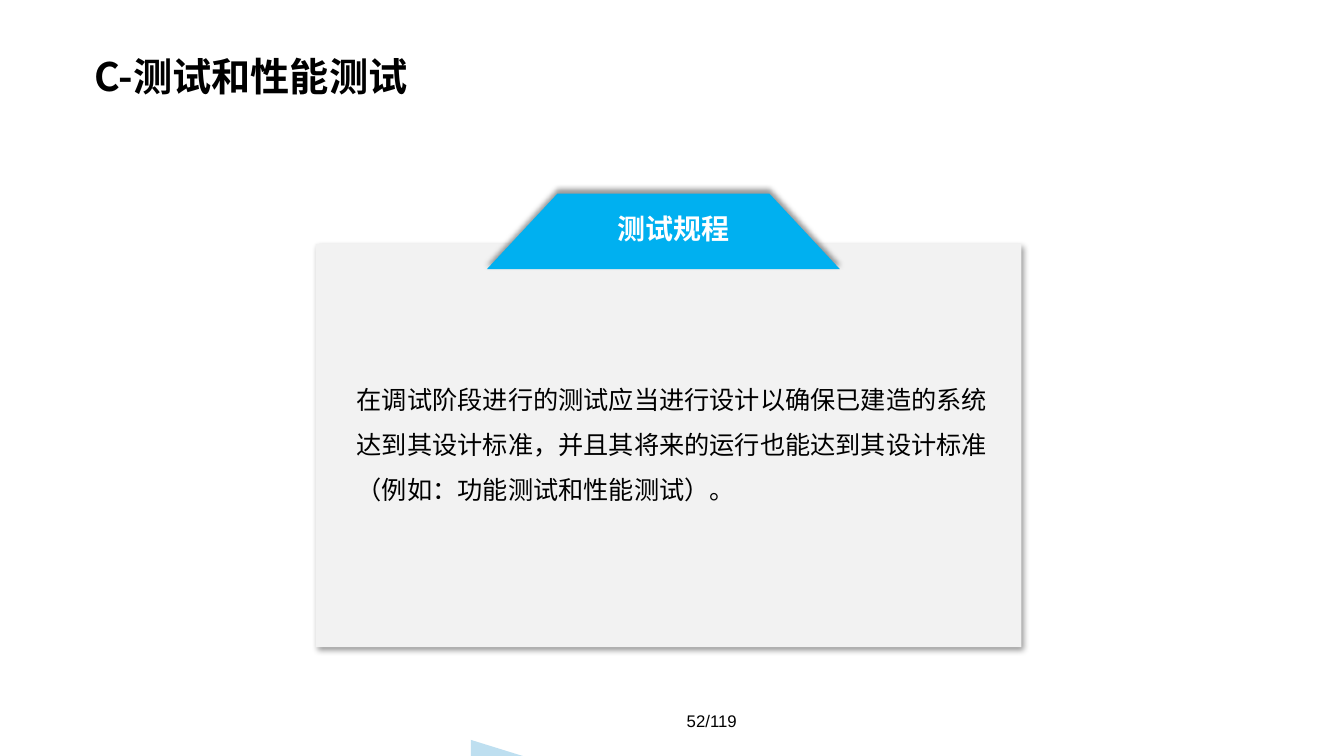
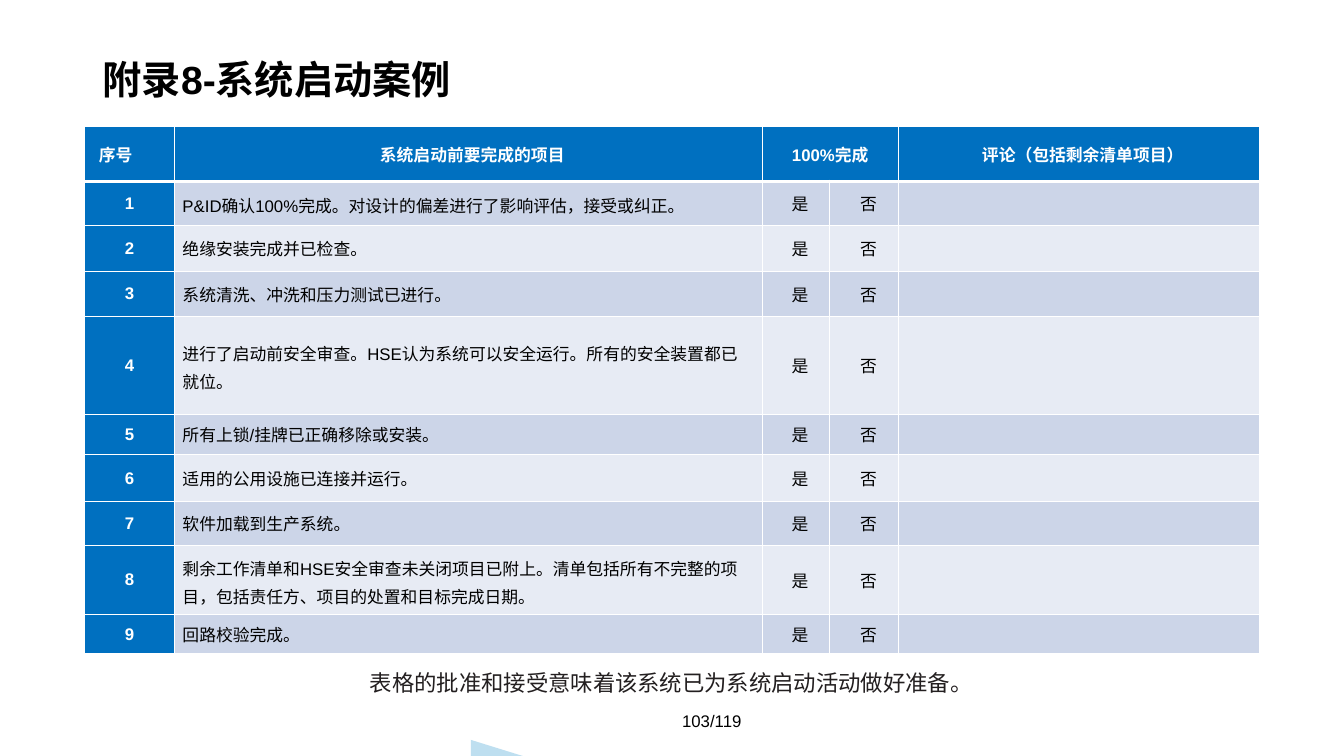
"""Build two slides on commissioning tests and the system start-up checklist."""
import lxml.etree
import pptx
import pptx.dml.color
import pptx.enum.shapes
import pptx.enum.text
import pptx.oxml.ns
import pptx.util

Inches = pptx.util.Inches
Pt = pptx.util.Pt
color = pptx.dml.color.RGBColor.from_string
qn = pptx.oxml.ns.qn
SHAPE = pptx.enum.shapes.MSO_SHAPE
ALIGN = pptx.enum.text.PP_ALIGN
MIDDLE = pptx.enum.text.MSO_ANCHOR.MIDDLE
TOP = pptx.enum.text.MSO_ANCHOR.TOP

ARIAL, CHINESE = "Arial", "Noto Sans CJK SC"
BLACK, WHITE, INK = "000000", "FFFFFF", "231F20"
HEADER_BLUE, TAB_BLUE, CORNER_BLUE = "0070C0", "00B0F0", "BEDFF0"
PANEL_GRAY, BANDS = "F2F2F2", ("CCD5E8", "E7EBF4")


def add_panel(page, kind, area, fill, shadow_angle=None):
    """Add a plain filled shape, with a soft shadow if an angle is given."""
    shape = page.shapes.add_shape(kind, *map(Inches, area))
    shape.shadow.inherit = False
    shape.fill.solid()
    shape.fill.fore_color.rgb = color(fill)
    shape.line.fill.background()
    if shadow_angle is not None:
        effects = shape._element.spPr.find(qn("a:effectLst"))
        shadow = lxml.etree.SubElement(
            effects, qn("a:outerShdw"), blurRad=str(Pt(4)), dist=str(Pt(3)),
            dir=str(shadow_angle * 60000), rotWithShape="0")
        tone = lxml.etree.SubElement(shadow, qn("a:srgbClr"), val=BLACK)
        lxml.etree.SubElement(tone, qn("a:alpha"), val="40000")
    return shape


def write(frame, lines, size, ink=BLACK, font=ARIAL, bold=False,
          align=ALIGN.LEFT, spacing=1.0, indent=0, right=0, anchor=TOP):
    """Write each line as one paragraph with one run."""
    frame.word_wrap = True
    frame.vertical_anchor = anchor
    for index, line in enumerate(lines):
        para = frame.add_paragraph() if index else frame.paragraphs[0]
        para.alignment = align
        para.line_spacing = spacing
        properties = para._p.get_or_add_pPr()
        properties.set("marL", str(Inches(indent)))
        properties.set("marR", str(Inches(right)))
        span = para.add_run()
        span.text = line
        span.font.size = Pt(size)
        span.font.bold = bold
        span.font.name = font
        span.font.color.rgb = color(ink)
        lxml.etree.SubElement(span._r.get_or_add_rPr(), qn("a:ea"), typeface=CHINESE)


deck = pptx.Presentation()
deck.slide_width = Inches(13.33)
deck.slide_height = Inches(7.5)

headings = [
    ("C-测试和性能测试", CHINESE, 0.9, 0, "52/119"),
    ("附录8-系统启动案例", ARIAL, 1.0, 0.08, "103/119"),
]
pages = []
for title, font, spacing, indent, number in headings:
    page = deck.slides.add_slide(deck.slide_layouts[6])
    pages.append(page)
    add_panel(page, SHAPE.RIGHT_TRIANGLE, (4.67, 7.34, 0.58, 0.18), CORNER_BLUE)
    box = page.shapes.add_textbox(*map(Inches, (0.84, 0.43, 11.65, 0.71)))
    write(box.text_frame, [title], 28, font=font, bold=True,
          spacing=spacing, indent=indent, anchor=MIDDLE)
    box = page.shapes.add_textbox(*map(Inches, (5.56, 6.95, 3, 0.4)))
    write(box.text_frame, [number], 12, align=ALIGN.CENTER, anchor=MIDDLE)
test_page, checklist_page = pages

add_panel(test_page, SHAPE.RECTANGLE, (3.13, 2.42, 7, 4), PANEL_GRAY, 45)
tab = add_panel(test_page, SHAPE.FLOWCHART_MANUAL_OPERATION,
                (4.83, 1.92, 3.5, 0.75), TAB_BLUE, 270)
tab._element.spPr.find(qn("a:xfrm")).set("flipV", "1")
box = test_page.shapes.add_textbox(*map(Inches, (6.03, 2.05, 1.5, 0.44)))
write(box.text_frame, ["测试规程"], 20, WHITE, CHINESE, bold=True)
box = test_page.shapes.add_textbox(*map(Inches, (3.44, 3.61, 6.58, 1.46)))
write(box.text_frame, [
    "在调试阶段进行的测试应当进行设计以确保已建造的系统达到其设计标准，并且其将来的运行也能达到其设计标准",
    "（例如：功能测试和性能测试）。",
], 18, font=CHINESE, spacing=1.5)

header = ["序号", "系统启动前要完成的项目", "100%完成", "", "评论（包括剩余清单项目）"]
header_indents = [0.14, 0.08, 0, 0, 0.08]
body_indents = [0, 0.08, 0.08, 0.09, 0]
items = [
    "P&ID确认100%完成。对设计的偏差进行了影响评估，接受或纠正。",
    "绝缘安装完成并已检查。",
    "系统清洗、冲洗和压力测试已进行。",
    "进行了启动前安全审查。HSE认为系统可以安全运行。所有的安全装置都已就位。",
    "所有上锁/挂牌已正确移除或安装。",
    "适用的公用设施已连接并运行。",
    "软件加载到生产系统。",
    "剩余工作清单和HSE安全审查未关闭项目已附上。清单包括所有不完整的项目，包括责任方、项目的处置和目标完成日期。",
    "回路校验完成。",
]
spaced_rows = (1, 4, 8)
rows = [header] + [[str(number), item, "是", "否", ""]
                   for number, item in enumerate(items, 1)]
widths = [0.89, 5.83, 0.67, 0.68, 3.58]
heights = [0.55, 0.44, 0.45, 0.45, 0.97, 0.4, 0.47, 0.43, 0.69, 0.39]

table = checklist_page.shapes.add_table(
    len(rows), len(widths), *map(Inches, (0.84, 1.25, 11.65, 5.24))).table
table.horz_banding = False
for column, width in zip(table.columns, widths):
    column.width = Inches(width)
for row, height in zip(table.rows, heights):
    row.height = Inches(height)
table.cell(0, 2).merge(table.cell(0, 3))

for row, texts in enumerate(rows):
    for column, text in enumerate(texts):
        cell = table.cell(row, column)
        cell.margin_left = cell.margin_right = cell.margin_top = cell.margin_bottom = 0
        cell.vertical_anchor = MIDDLE
        strong = row == 0 or column == 0
        cell.fill.solid()
        cell.fill.fore_color.rgb = color(HEADER_BLUE if strong else BANDS[(row - 1) % 2])
        if text:
            is_item = row > 0 and column == 1
            is_left = is_item or (row == 0 and column == 0)
            write(cell.text_frame, [text], 12, WHITE if strong else BLACK, bold=strong,
                  align=ALIGN.LEFT if is_left else ALIGN.CENTER,
                  spacing=1.15 if is_item and row in spaced_rows else 1.0,
                  indent=(body_indents if row else header_indents)[column],
                  right=0.2 if is_item else 0)
        for place, side in enumerate("LRTB"):
            thick = (row, side) in ((0, "B"), (1, "T"))
            edge = lxml.etree.Element(qn("a:ln" + side), w=str(Pt(3 if thick else 1)))
            paint = lxml.etree.SubElement(edge, qn("a:solidFill"))
            lxml.etree.SubElement(paint, qn("a:srgbClr"), val=WHITE)
            cell._tc.get_or_add_tcPr().insert(place, edge)

box = checklist_page.shapes.add_textbox(*map(Inches, (3.12, 6.59, 7.08, 0.37)))
write(box.text_frame, ["表格的批准和接受意味着该系统已为系统启动活动做好准备。"], 16, INK,
      align=ALIGN.CENTER)

deck.save("out.pptx")
